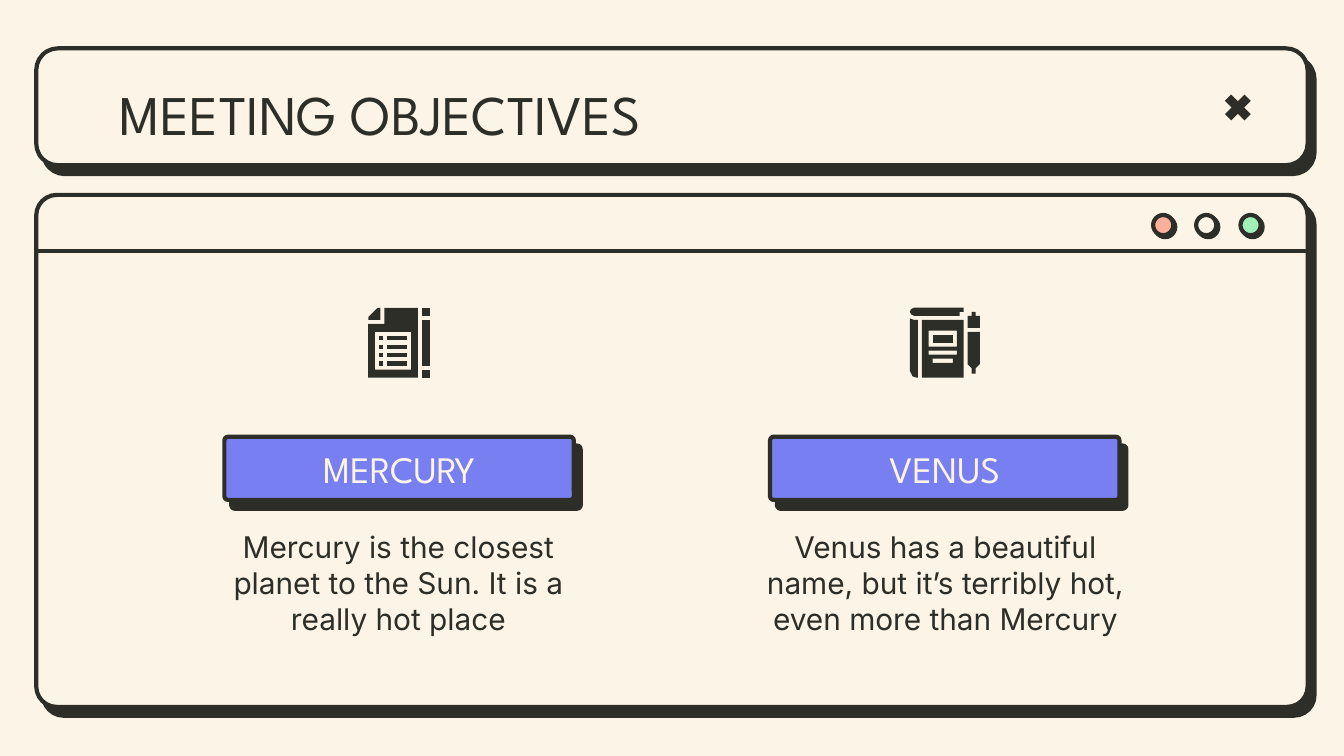
import pptx
import pptx.util
import pptx.dml.color
import pptx.enum.shapes
import pptx.enum.text
import pptx.oxml.ns
from lxml import etree

RGB = pptx.dml.color.RGBColor
KIND = pptx.enum.shapes.MSO_SHAPE
ALIGN = pptx.enum.text.PP_ALIGN
ANCHOR = pptx.enum.text.MSO_ANCHOR

CREAM = RGB(0xFC, 0xF4, 0xE6)
INK = RGB(0x2D, 0x2E, 0x27)
BLUE = RGB(0x78, 0x7F, 0xF0)
GREEN = RGB(0x9F, 0xF1, 0xB7)
CORAL = RGB(0xFF, 0xB0, 0x9C)
HEAD = "League Spartan"
BODY = "Inter"
PX = 9144  # EMU in one px, 100 px to the inch


def px(*nums):
    return [pptx.util.Emu(n * PX) for n in nums]


def drop(shape, dist, angle):
    """Add a hard offset shadow."""
    shape.shadow.inherit = False
    tag = pptx.oxml.ns.qn
    fx = shape.element.spPr.find(tag("a:effectLst"))
    cast = etree.SubElement(fx, tag("a:outerShdw"), blurRad="0",
                            dist=str(pptx.util.Pt(dist)),
                            dir=str(angle * 60000), algn="bl",
                            rotWithShape="0")
    etree.SubElement(cast, tag("a:srgbClr"), val=str(INK))


def panel(slide, kind, area, fill, adj=None, dist=6, angle=52):
    """Outlined shape with a hard shadow."""
    shape = slide.shapes.add_shape(kind, *px(*area))
    if adj is not None:
        shape.adjustments[0] = adj
    shape.fill.solid()
    shape.fill.fore_color.rgb = fill
    shape.line.color.rgb = INK
    shape.line.width = pptx.util.Pt(2.25)
    drop(shape, dist, angle)


def rule(slide, x1, y1, x2, y2):
    line = slide.shapes.add_connector(
        pptx.enum.shapes.MSO_CONNECTOR.STRAIGHT, *px(x1, y1, x2, y2))
    line.line.color.rgb = INK
    line.line.width = pptx.util.Pt(2.25)
    etree.SubElement(line.element.spPr, pptx.oxml.ns.qn("a:effectLst"))


def paint(shape):
    shape.fill.solid()
    shape.fill.fore_color.rgb = INK
    shape.line.fill.background()
    shape.shadow.inherit = False


def cross(slide, area):
    shape = slide.shapes.add_shape(KIND.MATH_MULTIPLY, *px(*area))
    shape.adjustments[0] = 0.235
    paint(shape)


def box(x, y, w, h):
    return [(x, y), (x, y + h), (x + w, y + h), (x + w, y)]


def glyph(slide, *loops):
    """Solid outline; the last loop is the rim, those before it are holes."""
    pen = slide.shapes.build_freeform(*loops[0][0], scale=PX)
    pen.add_line_segments(loops[0][1:], close=True)
    for loop in loops[1:]:
        pen.move_to(*loop[0])
        pen.add_line_segments(loop[1:], close=True)
    paint(pen.convert_to_shape())


def write(holder, area, text, font, size, color,
          align=ALIGN.CENTER, anchor=ANCHOR.MIDDLE):
    """Place a placeholder in front and fill it with one run."""
    holder.left, holder.top, holder.width, holder.height = px(*area)
    holder.element.getparent().append(holder.element)
    frame = holder.text_frame
    frame.word_wrap = True
    frame.auto_size = pptx.enum.text.MSO_AUTO_SIZE.NONE
    frame.vertical_anchor = anchor
    frame.margin_left, frame.margin_right = px(10, 10)
    frame.margin_top, frame.margin_bottom = px(10, 10)
    para = frame.paragraphs[0]
    para.alignment = align
    para.space_before = pptx.util.Pt(0)
    props = para._p.get_or_add_pPr()
    props.set("marL", "0")
    props.set("indent", "0")
    etree.SubElement(props, pptx.oxml.ns.qn("a:buNone"))
    run = para.add_run()
    run.text = text
    run.font.name = font
    run.font.size = pptx.util.Pt(size)
    run.font.bold = False
    run.font.color.rgb = color


def book(slide):
    # Spine, top edge and cover
    glyph(slide, [(677, 237), (677, 276), (679, 280), (682, 281), (683, 281),
                  (683, 238), (680, 238)])
    glyph(slide, [(680, 229), (678, 230), (677, 232), (678, 234), (680, 235),
                  (714, 235), (714, 232), (717, 232), (717, 229)])
    glyph(slide, box(691, 246, 21, 12), box(691, 261, 21, 3),
          box(694, 267, 15, 3), box(686, 238, 31, 43))
    glyph(slide, box(694, 249, 15, 6))
    # Pen
    glyph(slide, [(723, 232), (723, 235), (720, 235), (720, 244), (729, 244),
                  (729, 235), (726, 235), (726, 232)])
    glyph(slide, [(720, 247), (720, 271), (723, 274), (723, 278), (726, 278),
                  (726, 274), (729, 271), (729, 247)])


def sheet(slide):
    # Page with a folded corner
    glyph(slide, box(279, 247, 27, 28),
          [(286, 229), (286, 241), (274, 241), (274, 281), (311, 281),
           (311, 229)])
    glyph(slide, [(281, 229), (274, 236), (274, 238), (283, 238), (283, 229)])
    # List rows
    for y in (250, 257, 263, 269):
        glyph(slide, box(282, y, 3, 3))
        glyph(slide, box(288, y, 15, 3))
    # Pencil
    for y, high in ((229, 6), (238, 34), (275, 6)):
        glyph(slide, box(314, y, 6, high))


def main():
    deck = pptx.Presentation()
    deck.slide_width = pptx.util.Inches(10)
    deck.slide_height = deck.slide_width * 9 // 16
    slide = deck.slides.add_slide(deck.slide_layouts.get_by_name("Comparison"))
    slide.background.fill.solid()
    slide.background.fill.fore_color.rgb = CREAM
    title, *slots = slide.placeholders

    # Window
    panel(slide, KIND.ROUNDED_RECTANGLE, (27, 145, 946, 381), CREAM, 0.04)
    for x, fill in ((923, GREEN), (890, CREAM), (858, CORAL)):
        panel(slide, KIND.OVAL, (x, 160, 15, 15), fill, dist=1.5, angle=45)
    rule(slide, 27, 187, 972, 187)

    # Title bar
    panel(slide, KIND.ROUNDED_RECTANGLE, (27, 36, 946, 87), CREAM, 0.186)
    cross(slide, (907, 66, 28, 28))
    write(title, (79, 49, 843, 63), "MEETING OBJECTIVES", HEAD, 30, INK,
          ALIGN.LEFT, ANCHOR.TOP)

    # Columns
    cols = (
        ("MERCURY", "Mercury is the closest planet to the Sun. "
                    "It is a really hot place"),
        ("VENUS", "Venus has a beautiful name, but it’s terribly hot, "
                  "even more than Mercury"),
    )
    for i, (name, note) in enumerate(cols):
        x = 167 + 406 * i
        panel(slide, KIND.ROUNDED_RECTANGLE, (x, 325, 260, 47), BLUE, 0.057)
        write(slots[2 * i], (x + 18, 325, 224, 47), name, HEAD, 20, CREAM)
        write(slots[2 * i + 1], (x - 22 + i, 387, 303, 93), note, BODY, 16,
              INK)

    # Icons
    sheet(slide)
    book(slide)
    deck.save("out.pptx")


if __name__ == "__main__":
    main()
